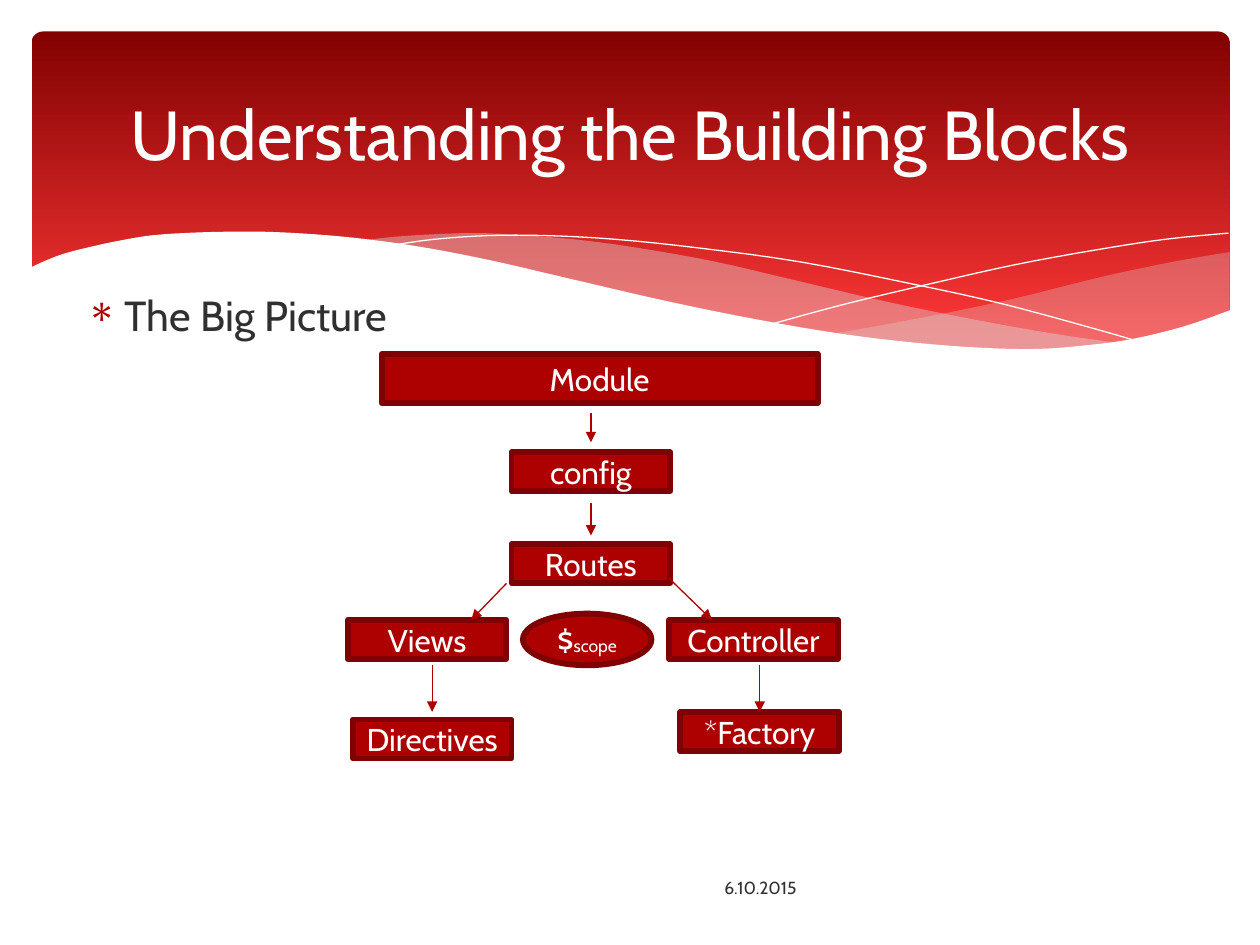
from dataclasses import dataclass

from lxml import etree
from pptx import Presentation
from pptx.dml.color import RGBColor
from pptx.enum.shapes import MSO_CONNECTOR, MSO_SHAPE
from pptx.enum.text import MSO_ANCHOR, PP_ALIGN
from pptx.oxml.ns import qn
from pptx.util import Inches, Pt

STRAIGHT = MSO_CONNECTOR.STRAIGHT
RECTANGLE, OVAL, ROUNDED = MSO_SHAPE.RECTANGLE, MSO_SHAPE.OVAL, MSO_SHAPE.ROUNDED_RECTANGLE
TOP, MIDDLE = MSO_ANCHOR.TOP, MSO_ANCHOR.MIDDLE
LEFT, CENTER = PP_ALIGN.LEFT, PP_ALIGN.CENTER
WIDTH, HEIGHT = Inches(10), Inches(7.5)
COLUMNS, ROWS = 100, 75
TOP_SIDE = 0


@dataclass(frozen=True)
class Theme:
    """Colours, font and type sizes of the slide."""
    font: str = "Cabin"
    white: str = "FFFFFF"
    text: str = "303030"
    accent: str = "AD0101"
    border: str = "800101"
    arrow: str = "AE0000"
    banner_top: str = "820101"
    banner_bottom: str = "FE3737"
    wash: str = "DEDEE0"
    title_size: float = 39.6
    body_size: float = 24
    box_size: float = 18
    small_size: float = 10
    border_width: float = 3.35
    arrow_width: float = 0.75


THEME = Theme()

RIGHT_WASH = [
    [(97.6, 20), (93.5, 20.7), (89.1, 21.6), (86.1, 22.3), (80.5, 23.7), (75.3, 24.8),
     (70.6, 25.7), (66.1, 26.5)],
    [(66.1, 26.5), (70.5, 27.1), (74.5, 27.5), (78.1, 27.7), (81.4, 27.8), (85.4, 27.6),
     (88.9, 27.2), (92.1, 26.5), (94.9, 25.7), (97.6, 24.7)],
]
WIDE_WASH = [
    [(89.3, 27.3), (83.7, 26.5), (77.5, 25.4), (70.6, 24), (62.9, 22.2), (56.9, 20.8),
     (51.4, 19.8), (46.5, 19.1), (42, 18.7), (38, 18.5), (34.4, 18.6), (31.3, 18.8), (28.6, 19.1)],
    [(28.6, 19.1), (34.2, 19.9), (40.4, 21.1), (44.9, 22.2), (53, 24), (60.1, 25.5),
     (66.5, 26.6), (72.2, 27.4), (77.3, 27.7), (81.8, 27.8), (85.7, 27.7), (89.3, 27.3)],
]
FALLING_LINE = [
    [(30.9, 19.5), (34.4, 19), (38.7, 18.7), (43.3, 18.7), (48.9, 19), (55.6, 19.7),
     (63.6, 20.8), (72.7, 22.6), (79.5, 24.1), (86.9, 26.1), (90.7, 27.2)],
]
RISING_LINE = [
    [(61.3, 25.7), (67.2, 24.1), (74.8, 22.3), (80.6, 21), (86.6, 19.9), (92.4, 19), (97.5, 18.5)],
]
WHITE_WAVE = [
    [(97.7, 24.6), (94, 25.9), (89.9, 26.9), (86.3, 27.4), (82.3, 27.7), (77.8, 27.6),
     (72.6, 27.2), (66.8, 26.5), (60.3, 25.4), (52.9, 23.9), (44.7, 22), (39.1, 20.7),
     (34, 19.7), (29.2, 19), (25, 18.6), (21.1, 18.4), (17.7, 18.4), (14.6, 18.5),
     (11.9, 18.7), (9.5, 19.1), (7.6, 19.5), (5.2, 20.1), (3.6, 20.7), (2.3, 21.3)],
    [(2.3, 32.9), (97.7, 32.9)],
]

BOX_HEIGHT = 3.1
BOXES = [
    ("Module", 30.3, 28.1, 34.6, 3.9),
    ("config", 40.6, 35.9, 12.6, BOX_HEIGHT),
    ("Routes", 40.6, 43.2, 12.6, BOX_HEIGHT),
    ("Views", 27.6, 49.2, 12.6, BOX_HEIGHT),
    ("Controller", 53.1, 49.2, 13.4, BOX_HEIGHT),
    ("Directives", 28, 57.1, 12.6, BOX_HEIGHT),
    ("*Factory", 54, 56.5, 12.6, BOX_HEIGHT),
]
ARROWS = [
    ((46.9, 32.8), (46.9, 35.1), None),
    ((46.9, 39.9), (46.9, 42.5), None),
    ((40.2, 46.3), (37.4, 49.2), None),
    ((53.1, 45.9), (56.5, 49.2), None),
    ((34.3, 52.8), (34.3, 56.5), None),
    ((60.3, 52.8), (60.3, 56.5), "*Factory"),
]


def place(column, row):
    """Return the slide lengths of a grid column and row."""
    return round(column * WIDTH / COLUMNS), round(row * HEIGHT / ROWS)


def color(value):
    """Return the colour object of a hex value."""
    return RGBColor.from_string(value)


def smooth(points, steps=4):
    """Return points along a Catmull-Rom curve through the given points."""
    padded = [points[0], *points, points[-1]]
    curve = [points[0]]
    for a, b, c, d in zip(padded, padded[1:], padded[2:], padded[3:]):
        for t in (step / steps for step in range(1, steps + 1)):
            curve.append(tuple(
                (2 * q + (r - p) * t + (2 * p - 5 * q + 4 * r - s) * t ** 2
                 + (3 * q - p - 3 * r + s) * t ** 3) / 2
                for p, q, r, s in zip(a, b, c, d)))
    return curve


def add_runs(frame, *texts, sizes, fill=THEME.white, align=CENTER, anchor=MIDDLE, margin=0.0):
    """Write one paragraph of runs into a text frame and return it."""
    frame.word_wrap = True
    frame.vertical_anchor = anchor
    frame.margin_left = frame.margin_right = Inches(margin)
    frame.margin_top = frame.margin_bottom = Inches(margin / 2)
    paragraph = frame.paragraphs[0]
    paragraph.alignment = align
    for text, size in zip(texts, sizes):
        run = paragraph.add_run()
        run.text = text
        run.font.name = THEME.font
        run.font.size = Pt(size)
        run.font.color.rgb = color(fill)
    return paragraph


def add_text(slide, text, left, top, width, height, size, **form):
    """Add a text box and return its paragraph."""
    shape = slide.shapes.add_textbox(*place(left, top), *place(width, height))
    return add_runs(shape.text_frame, text, sizes=[size], margin=0.1, **form)


def add_bullet(paragraph, mark):
    """Give a paragraph a coloured bullet with a hanging indent."""
    properties = paragraph._p.get_or_add_pPr()
    indent = Inches(0.3)
    properties.set("marL", str(indent))
    properties.set("indent", str(-indent))
    bullet_color = etree.SubElement(properties, qn("a:buClr"))
    etree.SubElement(bullet_color, qn("a:srgbClr"), val=THEME.accent)
    etree.SubElement(properties, qn("a:buChar"), char=mark)


def add_banner(slide):
    """Add the rounded banner with its vertical gradient."""
    shape = slide.shapes.add_shape(ROUNDED, *place(2.5, 2.5), *place(95.1, 27))
    shape.adjustments[0] = 0.034
    shape.shadow.inherit = False
    shape.line.fill.background()
    shape.fill.gradient()
    shape.fill.gradient_angle = 270
    stops = zip(shape.fill.gradient_stops, (0, 0.9), (THEME.banner_top, THEME.banner_bottom))
    for stop, position, value in stops:
        stop.position = position
        stop.color.rgb = color(value)


def add_wave(slide, edges, fill=None, opacity=100):
    """Add a filled wave, or a white hairline when no fill is given."""
    points = [place(*point) for edge in edges for point in smooth(edge)]
    builder = slide.shapes.build_freeform(*points[0])
    builder.add_line_segments(points[1:], close=fill is not None)
    shape = builder.convert_to_shape()
    shape.shadow.inherit = False
    if fill is None:
        shape.fill.background()
        shape.line.color.rgb = color(THEME.white)
        shape.line.width = Pt(0)
        return
    shape.line.fill.background()
    shape.fill.solid()
    shape.fill.fore_color.rgb = color(fill)
    if opacity < 100:
        value = shape._element.spPr.find(qn("a:solidFill"))[0]
        etree.SubElement(value, qn("a:alpha"), val=str(opacity * 1000))


def add_block(slide, kind, left, top, width, height, *texts, sizes):
    """Add a bordered diagram block and return it."""
    shape = slide.shapes.add_shape(kind, *place(left, top), *place(width, height))
    shape.shadow.inherit = False
    shape.fill.solid()
    shape.fill.fore_color.rgb = color(THEME.accent)
    shape.line.color.rgb = color(THEME.border)
    shape.line.width = Pt(THEME.border_width)
    add_runs(shape.text_frame, *texts, sizes=sizes)
    return shape


def add_arrow(slide, start, end, target=None):
    """Add an arrow, joined to the top of its target when there is one."""
    arrow = slide.shapes.add_connector(STRAIGHT, *place(*start), *place(*end))
    if target is not None:
        arrow.end_connect(target, TOP_SIDE)
    arrow.line.color.rgb = color(THEME.arrow)
    arrow.line.width = Pt(THEME.arrow_width)
    etree.SubElement(arrow.line._get_or_add_ln(), qn("a:tailEnd"), type="triangle")
    etree.SubElement(arrow._element.spPr, qn("a:effectLst"))


def main():
    """Build the slide and save the presentation."""
    presentation = Presentation()
    presentation.slide_width, presentation.slide_height = WIDTH, HEIGHT
    slide = presentation.slides.add_slide(presentation.slide_layouts[6])
    add_banner(slide)
    add_wave(slide, RIGHT_WASH, THEME.wash, opacity=29)
    add_wave(slide, WIDE_WASH, THEME.wash, opacity=40)
    add_wave(slide, FALLING_LINE)
    add_wave(slide, RISING_LINE)
    add_wave(slide, WHITE_WAVE, THEME.white)
    topic = add_text(slide, "The Big Picture", 5.9, 22.5, 89, 44.5, THEME.body_size,
                     fill=THEME.text, align=LEFT, anchor=TOP)
    add_bullet(topic, "∗")
    add_text(slide, "6.10.2015", 56.5, 68.4, 41.4, 4, THEME.small_size,
             fill=THEME.text, align=LEFT)
    add_text(slide, "Understanding the Building Blocks", 5, 3.7, 90, 13.7, THEME.title_size)
    blocks = {text: add_block(slide, RECTANGLE, *area, text, sizes=[THEME.box_size])
              for text, *area in BOXES}
    add_block(slide, OVAL, 41.5, 48.7, 10.2, 4.1, "$", "scope",
              sizes=[THEME.box_size, THEME.small_size])
    for start, end, target in ARROWS:
        add_arrow(slide, start, end, blocks.get(target))
    presentation.save("out.pptx")


if __name__ == "__main__":
    main()
